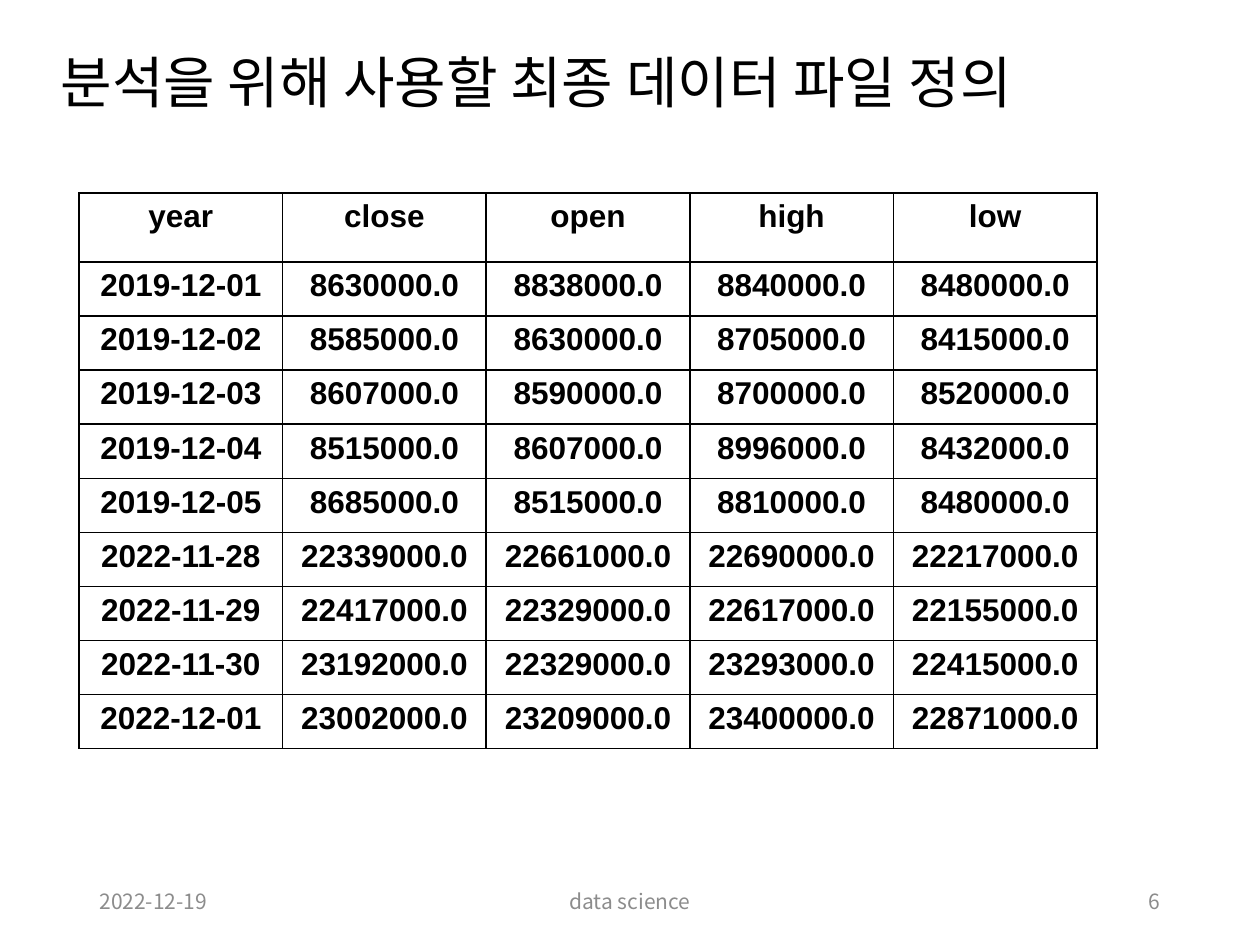
from lxml.etree import SubElement
from pptx import Presentation
from pptx.dml.color import RGBColor
from pptx.enum.text import MSO_ANCHOR, PP_ALIGN
from pptx.oxml.ns import qn
from pptx.util import Pt

PX = 914400 / 126
COLORS = {"ink": "000000", "footer": "8C8C8C"}
KOREAN_FONT = "Noto Sans CJK KR"

HEADER = ["year", "close", "open", "high", "low"]
PRICES = [
    ("2019-12-01", 8630000, 8838000, 8840000, 8480000),
    ("2019-12-02", 8585000, 8630000, 8705000, 8415000),
    ("2019-12-03", 8607000, 8590000, 8700000, 8520000),
    ("2019-12-04", 8515000, 8607000, 8996000, 8432000),
    ("2019-12-05", 8685000, 8515000, 8810000, 8480000),
    ("2022-11-28", 22339000, 22661000, 22690000, 22217000),
    ("2022-11-29", 22417000, 22329000, 22617000, 22155000),
    ("2022-11-30", 23192000, 22329000, 23293000, 22415000),
    ("2022-12-01", 23002000, 23209000, 23400000, 22871000),
]


def px(n):
    return round(n * PX)


def place(sp, x, y, w, h):
    sp.left, sp.top, sp.width, sp.height = map(px, (x, y, w, h))


def write(tf, text, size, font, color, align, bold=False):
    p = tf.paragraphs[0]
    p.alignment = align
    r = p.add_run()
    r.text = text
    r.font.size = Pt(size)
    r.font.name = font
    r.font.bold = bold
    r.font.color.rgb = RGBColor.from_string(COLORS[color])
    return p, r


def add_title(s, text):
    sp = s.shapes.title
    place(sp, 48, 36, 1166, 98)
    tf = sp.text_frame
    tf.word_wrap = True
    tf.vertical_anchor = MSO_ANCHOR.MIDDLE
    p, r = write(tf, text, 32, "Montserrat", "ink", PP_ALIGN.LEFT)
    p.line_spacing = 0.9
    # Hangul glyphs use the East Asian font slot
    SubElement(r.font._element, qn("a:ea"), typeface=KOREAN_FONT)


def add_footer(s, text, x, w, align):
    sp = s.shapes.add_textbox(px(x), px(876), px(w), px(50))
    tf = sp.text_frame
    tf.word_wrap = True
    tf.vertical_anchor = MSO_ANCHOR.MIDDLE
    write(tf, text, 12, KOREAN_FONT, "footer", align)


def add_borders(cell):
    tc_pr = cell._tc.get_or_add_tcPr()
    for i, side in enumerate(("a:lnL", "a:lnR", "a:lnT", "a:lnB")):
        ln = tc_pr.makeelement(qn(side), {"w": str(Pt(1))})
        fill = SubElement(ln, qn("a:solidFill"))
        SubElement(fill, qn("a:srgbClr"), val=COLORS["ink"])
        tc_pr.insert(i, ln)


def add_price_table(s, x, y, w, header_h, row_h):
    rows = [HEADER] + [[day] + [f"{v:.1f}" for v in values]
                       for day, *values in PRICES]
    h = header_h + row_h * len(PRICES)
    table = s.shapes.add_table(len(rows), len(HEADER),
                               px(x), px(y), px(w), px(h)).table
    table.first_row = table.horz_banding = False
    for col in table.columns:
        col.width = px(w / len(HEADER))
    for i, values in enumerate(rows):
        table.rows[i].height = px(row_h if i else header_h)
        for j, text in enumerate(values):
            cell = table.cell(i, j)
            cell.fill.background()
            add_borders(cell)
            write(cell.text_frame, text, 18, "Arial", "ink",
                  PP_ALIGN.CENTER, bold=True)


def main():
    prs = Presentation()
    prs.slide_width, prs.slide_height = px(1260), px(945)
    s = prs.slides.add_slide(prs.slide_layouts[5])

    add_title(s, "분석을 위해 사용할 최종 데이터 파일 정의")

    # Footer: date, subject, page number
    add_footer(s, "2022-12-19", 87, 283, PP_ALIGN.LEFT)
    add_footer(s, "data science", 417, 426, PP_ALIGN.CENTER)
    add_footer(s, "6", 890, 283, PP_ALIGN.RIGHT)

    # Daily prices
    add_price_table(s, 79, 193, 1018, 69, 54.1)

    prs.save("out.pptx")


main()
